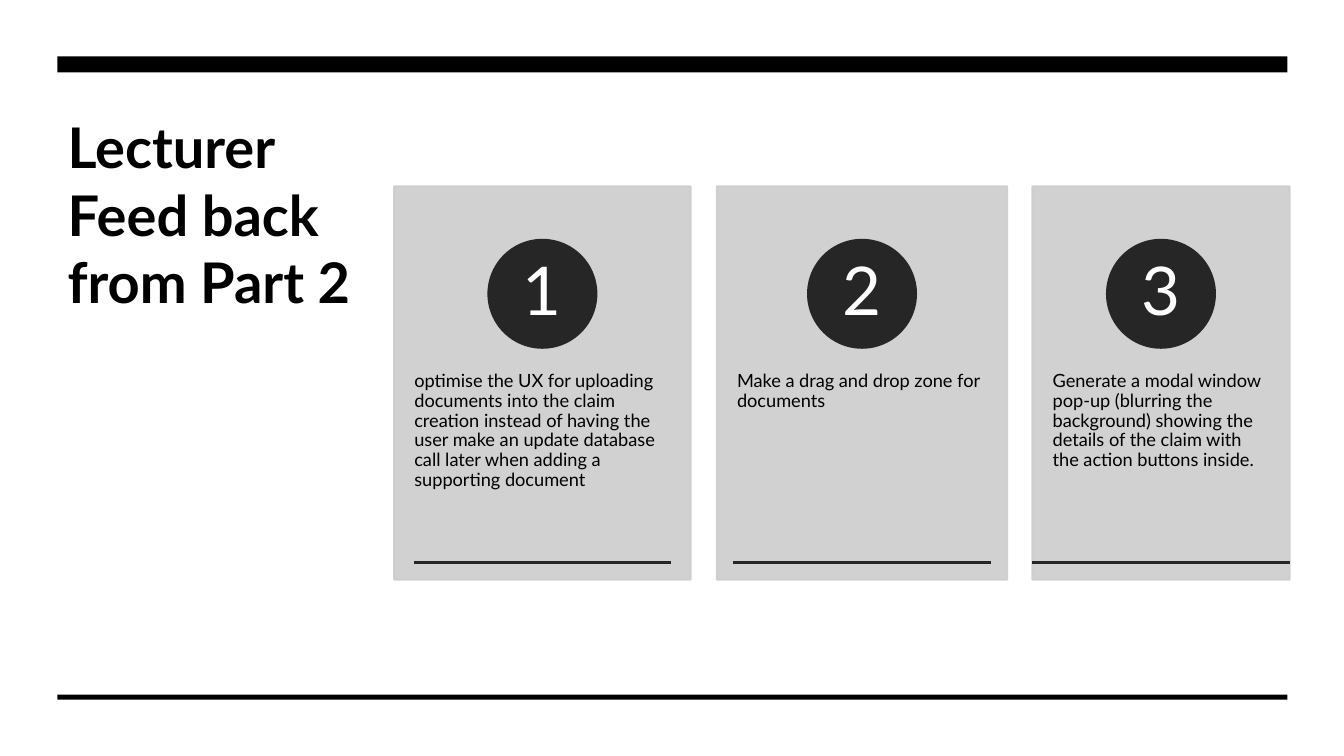
"""Build the lecturer feedback slide with three numbered cards."""
from lxml import etree
from pptx import Presentation
from pptx.dml.color import RGBColor
from pptx.enum.shapes import MSO_CONNECTOR, MSO_SHAPE
from pptx.enum.text import MSO_ANCHOR, MSO_AUTO_SIZE, PP_ALIGN
from pptx.oxml.ns import qn
from pptx.util import Inches, Pt

RECT, OVAL = MSO_SHAPE.RECTANGLE, MSO_SHAPE.OVAL
STRAIGHT = MSO_CONNECTOR.STRAIGHT
TOP, MIDDLE = MSO_ANCHOR.TOP, MSO_ANCHOR.MIDDLE
LEFT, CENTER = PP_ALIGN.LEFT, PP_ALIGN.CENTER
NO_AUTOFIT = MSO_AUTO_SIZE.NONE
BLACK, WHITE, CHARCOAL, GREY = "000000", "FFFFFF", "262626", "CDCDCD"


def paint(color_format, color, alpha=100):
    color_format.solid()
    color_format.fore_color.rgb = RGBColor.from_string(color)
    if alpha < 100:
        srgb = color_format._xPr.find(".//" + qn("a:srgbClr"))
        etree.SubElement(srgb, qn("a:alpha"), val=str(alpha * 1000))


def write(box, text, size, color=BLACK, bold=False, align=LEFT, anchor=TOP,
          spacing=0.9, inset=(0.1, 0.05)):
    frame = box.text_frame
    frame.word_wrap = True
    frame.auto_size = NO_AUTOFIT
    frame.vertical_anchor = anchor
    frame.margin_left = frame.margin_right = Inches(inset[0])
    frame.margin_top = frame.margin_bottom = Inches(inset[1])
    frame.text = text
    paragraph = frame.paragraphs[0]
    paragraph.alignment = align
    paragraph.line_spacing = spacing
    font = paragraph.runs[0].font
    font.name, font.size, font.bold = "Lato", Pt(size), bold
    font.color.rgb = RGBColor.from_string(color)


prs = Presentation()
prs.slide_width, prs.slide_height = Inches(13.33), Inches(7.5)
slide = prs.slides.add_slide(prs.slide_layouts[5])
shapes = slide.shapes
paint(slide.background.fill, WHITE)

title = shapes.title
title.left, title.top = Inches(0.57), Inches(1.07)
title.width, title.height = Inches(3.45), Inches(4.45)
write(title, "Lecturer Feed back from Part 2", 40, bold=True, spacing=1.0)

for bar_top, bar_height in [(0.56, 0.16), (6.89, 0.05)]:
    bar = shapes.add_shape(RECT, Inches(0.57), Inches(bar_top), Inches(12.2), Inches(bar_height))
    bar.shadow.inherit = False
    paint(bar.fill, BLACK)
    bar.line.fill.background()

feedback = [
    (3.91, 2.94, "optimise the UX for uploading documents into the claim creation instead of "
                 "having the user make an update database call later when adding a "
                 "supporting document"),
    (7.11, 2.88, "Make a drag and drop zone for documents"),
    (10.24, 2.55, "Generate a modal window pop-up (blurring the background) showing the "
                  "details of the claim with the action buttons inside."),
]
CIRCLE, NUMBER, RULE = 1.07, 0.76, 2.55

for number, (left, width, comment) in enumerate(feedback, start=1):
    center = left + width / 2
    card = shapes.add_shape(RECT, Inches(left), Inches(1.85), Inches(width), Inches(3.9))
    body = shapes.add_textbox(Inches(left), Inches(3.33), Inches(width), Inches(2.34))
    write(body, comment, 13, inset=(0.2, 0.36))

    circle = shapes.add_shape(OVAL, Inches(center - CIRCLE / 2), Inches(2.38),
                              Inches(CIRCLE), Inches(CIRCLE))
    for panel, color, alpha in [(card, GREY, 90), (circle, CHARCOAL, 100)]:
        panel.shadow.inherit = False
        paint(panel.fill, color, alpha)
        paint(panel.line.fill, color, alpha)
        panel.line.width = Pt(1.5)
    numeral = shapes.add_textbox(Inches(center - NUMBER / 2), Inches(2.53),
                                 Inches(NUMBER), Inches(NUMBER))
    write(numeral, str(number), 48, WHITE, align=CENTER, anchor=MIDDLE, inset=(0.08, 0.01))

    rule = shapes.add_connector(STRAIGHT, Inches(center - RULE / 2), Inches(5.58),
                                Inches(center + RULE / 2), Inches(5.58))
    paint(rule.line.fill, CHARCOAL)
    rule.line.width = Pt(1.5)
    etree.SubElement(rule._element.spPr, qn("a:effectLst"))

prs.save("out.pptx")
